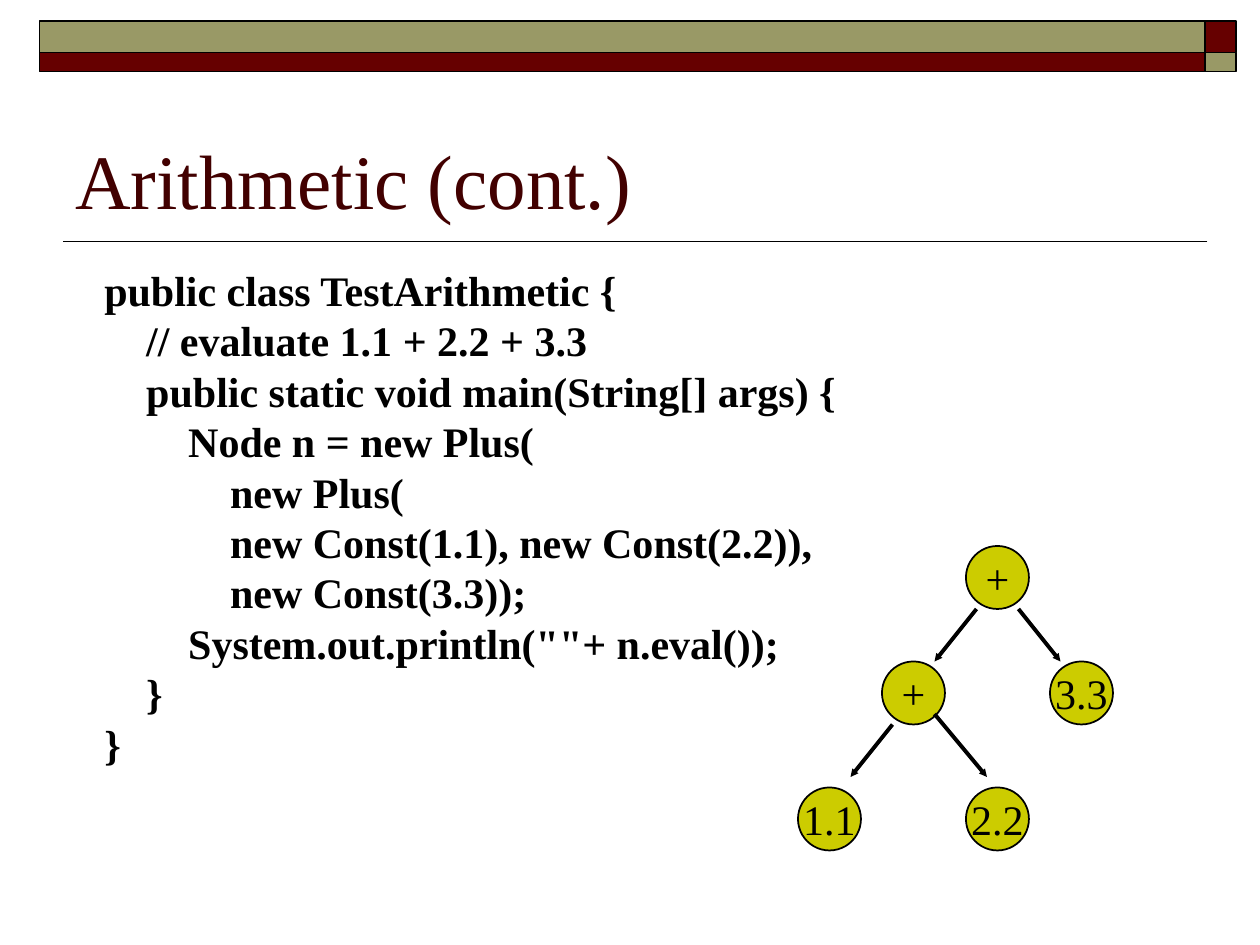
from lxml import etree
from pptx import Presentation
from pptx.dml.color import RGBColor
from pptx.enum import shapes, text
from pptx.oxml.ns import qn
from pptx.util import Pt

FONT = "Times New Roman"
BLACK, RED, OLIVE, LIME, BROWN = "000000", "660000", "999966", "CCCC00", "420000"

TITLE = "Arithmetic (cont.)"
CODE = [
    'public class TestArithmetic {',
    '    // evaluate 1.1 + 2.2 + 3.3',
    '    public static void main(String[] args) {',
    '        Node n = new Plus(',
    '            new Plus(',
    '            new Const(1.1), new Const(2.2)),',
    '            new Const(3.3));',
    '        System.out.println(""+ n.eval());',
    '    }',
    '}',
]

# Band columns and rows: start, size
COLS = [(22.5, 666), (688.5, 18)]
ROWS = [(12, 18), (30, 11)]

# Tree nodes: label, column, row
NODES = [("+", 2, 0), ("+", 1, 1), ("2.2", 2, 2), ("1.1", 0, 2), ("3.3", 3, 1)]
LEFT, STEP, SIZE = 456, 48, 36
TOPS = [312, 378, 450]
EDGES = [
    (558, 348, 534, 378),
    (510, 414, 486, 444),
    (534, 408, 564, 444),
    (582, 348, 606, 378),
]


def color(hexa):
    return RGBColor.from_string(hexa)


def put(item, **vals):
    for name, val in vals.items():
        setattr(item, name, val)


def write(frame, lines, size, tint=BLACK, bold=False, **form):
    """Fill a text frame with one paragraph per line; form goes to each."""
    for i, line in enumerate(lines):
        para = frame.add_paragraph() if i else frame.paragraphs[0]
        para.text = line
        put(para, **form)
        put(para.font, name=FONT, size=Pt(size), bold=bold)
        para.font.color.rgb = color(tint)


def draw(slide, kind, box, fill):
    shape = slide.shapes.add_shape(kind, *map(Pt, box))
    shape.shadow.inherit = False
    shape.fill.solid()
    shape.fill.fore_color.rgb = color(fill)
    shape.line.color.rgb = color(BLACK)
    shape.line.width = Pt(1)
    return shape


def link(slide, ends, width, arrow=False):
    line = slide.shapes.add_connector(shapes.MSO_CONNECTOR.STRAIGHT, *map(Pt, ends))
    line.line.color.rgb = color(BLACK)
    line.line.width = Pt(width)
    if arrow:
        etree.SubElement(line.line._get_or_add_ln(), qn("a:tailEnd"),
                         type="triangle", w="sm", len="sm")
    etree.SubElement(line._element.spPr, qn("a:effectLst"))


def main():
    deck = Presentation()
    put(deck, slide_width=Pt(720), slide_height=Pt(540))
    slide = deck.slides.add_slide(deck.slide_layouts[6])

    link(slide, (690, 138, 36, 138), 1)
    for c, (left, width) in enumerate(COLS):
        for r, (top, height) in enumerate(ROWS):
            draw(slide, shapes.MSO_SHAPE.RECTANGLE, (left, top, width, height),
                 OLIVE if c == r else RED)

    title = slide.shapes.add_textbox(Pt(36), Pt(42), Pt(648), Pt(90)).text_frame
    put(title, word_wrap=True, vertical_anchor=text.MSO_ANCHOR.BOTTOM)
    write(title, [TITLE], 44, BROWN)

    code = slide.shapes.add_textbox(Pt(52.5), Pt(147.6), Pt(432.7), Pt(295.2)).text_frame
    code.word_wrap = False
    write(code, CODE, 24, bold=True, line_spacing=Pt(28.8))

    for label, col, row in NODES:
        box = (LEFT + col * STEP, TOPS[row], SIZE, SIZE)
        frame = draw(slide, shapes.MSO_SHAPE.OVAL, box, LIME).text_frame
        put(frame, word_wrap=False, vertical_anchor=text.MSO_ANCHOR.MIDDLE)
        write(frame, [label], 24, alignment=text.PP_ALIGN.CENTER)

    for ends in EDGES:
        link(slide, ends, 2.25, arrow=True)

    deck.save("out.pptx")


if __name__ == "__main__":
    main()
